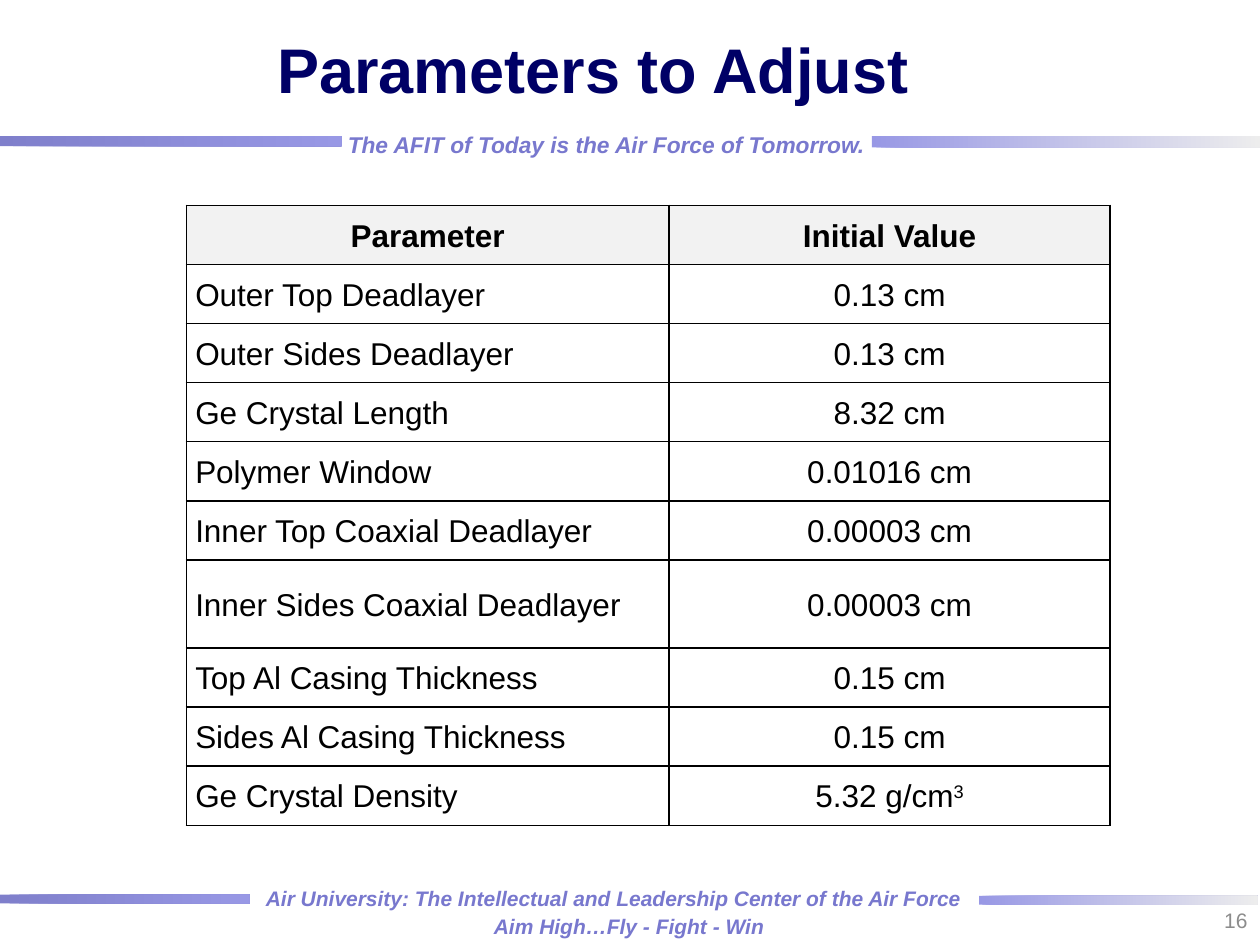
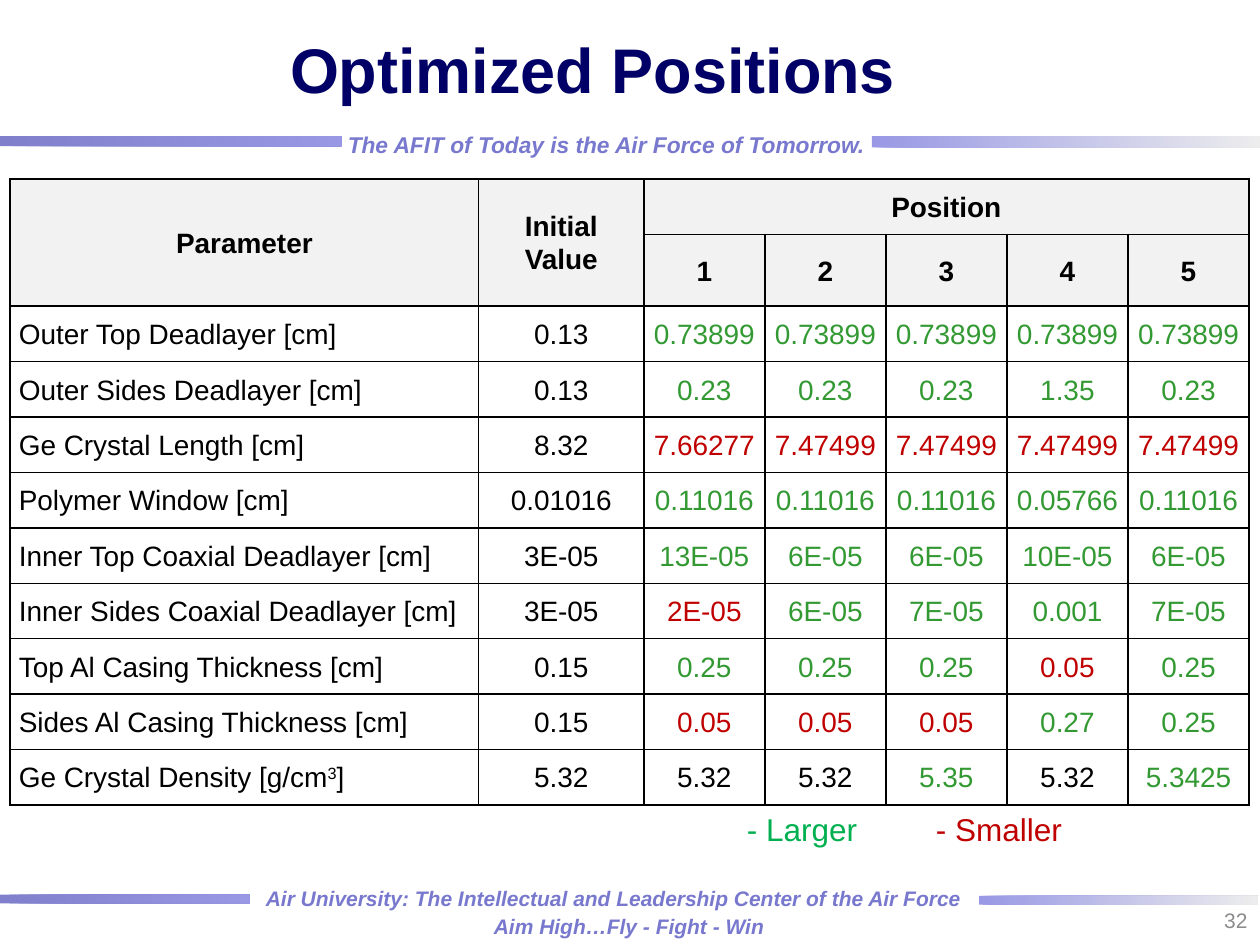
from dataclasses import dataclass

from lxml.etree import SubElement
from pptx import Presentation
from pptx.dml.color import RGBColor as RGB
from pptx.enum.shapes import MSO_SHAPE as SHAPE
from pptx.enum.text import MSO_ANCHOR as ANCHOR, MSO_AUTO_SIZE as FIT, PP_ALIGN as ALIGN
from pptx.oxml.ns import qn
from pptx.util import Inches, Pt


@dataclass(frozen=True)
class Theme:
    """Colours, font and type sizes shared by the slides."""
    font: str = "Arial"
    title: str = "000066"
    motto: str = "7878CE"
    number: str = "8C8C8C"
    text: str = "000000"
    header: str = "F2F2F2"
    body: str = "FFFFFF"
    larger: str = "339933"
    larger_key: str = "00B050"
    smaller: str = "C00000"
    band_dark: str = "000099"
    band_mid: str = "3333CC"
    band_pale: str = "DDDDDD"
    title_size: int = 36
    large_size: int = 18
    table_size: int = 16
    motto_size: int = 13
    small_size: int = 12


T = Theme()
WIDTH, HEIGHT = Inches(10), Inches(7.5)
COLUMNS, ROWS = 100, 75
LINE_SPACING = 1.07

BANDS = [
    ((0, 71, 19.8, 0.7), T.band_dark, T.band_mid),
    ((77.7, 71.1, 22.1, 0.7), T.band_mid, T.band_pale),
    ((69.2, 10.8, 30.8, 0.9), T.band_mid, T.band_pale),
    ((0, 10.8, 27.1, 0.8), T.band_dark, T.band_mid),
]
MOTTOS = [
    ((20.2, 69.8, 57.6, 2.9), T.small_size, 0.05,
     "Air University: The Intellectual and Leadership Center of the Air Force"),
    ((38.3, 72.1, 23.6, 2.9), T.small_size, 0.04, "Aim High…Fly - Fight - Win"),
    ((26.7, 9.9, 43.5, 3.1), T.motto_size, 0.05,
     "The AFIT of Today is the Air Force of Tomorrow."),
]
PARAMETERS = [
    ("Outer Top Deadlayer", "0.13", "cm", "0.73899 0.73899 0.73899 0.73899 0.73899"),
    ("Outer Sides Deadlayer", "0.13", "cm", "0.23 0.23 0.23 1.35 0.23"),
    ("Ge Crystal Length", "8.32", "cm", "7.66277 7.47499 7.47499 7.47499 7.47499"),
    ("Polymer Window", "0.01016", "cm", "0.11016 0.11016 0.11016 0.05766 0.11016"),
    ("Inner Top Coaxial Deadlayer", "0.00003", "cm", "13E-05 6E-05 6E-05 10E-05 6E-05"),
    ("Inner Sides Coaxial Deadlayer", "0.00003", "cm", "2E-05 6E-05 7E-05 0.001 7E-05"),
    ("Top Al Casing Thickness", "0.15", "cm", "0.25 0.25 0.25 0.05 0.25"),
    ("Sides Al Casing Thickness", "0.15", "cm", "0.05 0.05 0.05 0.27 0.25"),
    ("Ge Crystal Density", "5.32", "g/cm^3^", "5.32 5.32 5.35 5.32 5.3425"),
]


def across(columns):
    """Return the length of a number of grid columns."""
    return round(WIDTH * columns / COLUMNS)


def down(rows):
    """Return the length of a number of grid rows."""
    return round(HEIGHT * rows / ROWS)


def place(x, y, w, h):
    """Turn a grid box into slide lengths."""
    return across(x), down(y), across(w), down(h)


def style(font, size, color, bold=False, italic=False):
    """Set the look of a font."""
    font.name, font.size = T.font, Pt(size)
    font.color.rgb = RGB.from_string(color)
    font.bold, font.italic = bold, italic


def add_text(slide, box, text, size, color, bold=False, italic=False,
             align=ALIGN.LEFT, anchor=ANCHOR.TOP, wrap=True, fit=FIT.NONE):
    """Add a one-paragraph text box and return its text frame."""
    tf = slide.shapes.add_textbox(*place(*box)).text_frame
    tf.word_wrap, tf.auto_size, tf.vertical_anchor = wrap, fit, anchor
    p = tf.paragraphs[0]
    p.text, p.alignment = text, align
    style(p.font, size, color, bold, italic)
    return tf


def add_band(slide, box, start, end):
    """Add a half-transparent bar that fades from start to end."""
    sp = slide.shapes.add_shape(SHAPE.RECTANGLE, *place(*box))
    sp.shadow.inherit = False
    sp.line.fill.background()
    sp.fill.gradient()
    sp.fill.gradient_angle = 0
    for stop, color in zip(sp.fill.gradient_stops, (start, end)):
        stop.color.rgb = RGB.from_string(color)
    for color in sp._element.spPr.iter(qn("a:srgbClr")):
        SubElement(color, qn("a:alpha"), val="50000")


def add_motto(slide, box, size, inset, text):
    """Add a motto line in the band colour."""
    tf = add_text(slide, box, text, size, T.motto, True, True, wrap=False,
                  fit=FIT.SHAPE_TO_FIT_TEXT)
    tf.margin_left = tf.margin_right = Inches(0.09)
    tf.margin_top = tf.margin_bottom = Inches(inset)


def add_slide(prs, title, number):
    """Add a slide with bands, mottos, title and slide number."""
    slide = prs.slides.add_slide(prs.slide_layouts[6])
    for band in BANDS:
        add_band(slide, *band)
    for motto in MOTTOS:
        add_motto(slide, *motto)
    add_text(slide, (10.8, 0, 72.5, 10.8), title, T.title_size, T.title, True,
             align=ALIGN.CENTER, anchor=ANCHOR.MIDDLE)
    add_text(slide, (76.7, 71, 23.3, 4), str(number), T.small_size, T.number,
             align=ALIGN.RIGHT, anchor=ANCHOR.MIDDLE)
    return slide


def add_borders(cell):
    """Draw a thin line on each side of a cell."""
    for side in ("lnL", "lnR", "lnT", "lnB"):
        ln = SubElement(cell._tc.get_or_add_tcPr(), qn(f"a:{side}"), w=str(Pt(1)))
        SubElement(SubElement(ln, qn("a:solidFill")), qn("a:srgbClr"), val=T.text)


def fill_cell(cell, text, size, color, header, align):
    """Write a cell, raising the text between carets."""
    add_borders(cell)
    cell.fill.solid()
    cell.fill.fore_color.rgb = RGB.from_string(T.header if header else T.body)
    cell.vertical_anchor = ANCHOR.MIDDLE
    cell.margin_left = cell.margin_right = Inches(0.07)
    cell.margin_top = cell.margin_bottom = 0
    p = cell.text_frame.paragraphs[0]
    p.alignment, p.line_spacing = align, LINE_SPACING
    style(p.font, size, color, header)
    for i, part in enumerate(text.split("^")):
        if part:
            r = p.add_run()
            r.text = part
            if i % 2:
                r.font._element.set("baseline", "30000")


def add_grid(slide, x, y, widths, heights, rows, size, headers=1, color_of=None):
    """Add a ruled table and return it."""
    box = place(x, y, sum(widths), sum(heights))
    table = slide.shapes.add_table(len(heights), len(widths), *box).table
    table.first_row = table.horz_banding = False
    for column, width in zip(table.columns, widths):
        column.width = across(width)
    for row, height in zip(table.rows, heights):
        row.height = down(height)
    for i, row in enumerate(rows):
        header = i < headers
        for j, text in enumerate(row):
            color = color_of(row, j) if color_of and not header else T.text
            align = ALIGN.CENTER if header or j else ALIGN.LEFT
            fill_cell(table.cell(i, j), text, size, color, header, align)
    return table


def change_color(row, j):
    """Pick a colour by comparing a position's value with the initial one."""
    if j < 2 or float(row[j]) == float(row[1]):
        return T.text
    return T.larger if float(row[j]) > float(row[1]) else T.smaller


def add_initial_table(slide):
    """Add the table of initial values."""
    rows = [("Parameter", "Initial Value")]
    rows += [(name, f"{value} {unit}") for name, value, unit, _ in PARAMETERS]
    heights = [7 if row[0].startswith("Inner Sides") else 4.69 for row in rows]
    add_grid(slide, 14.8, 16.3, [38.3, 35], heights, rows, T.large_size)


def add_position_table(slide):
    """Add the table of optimized values by position."""
    rows = [["Parameter", "Initial Value", "Position", "", "", "", ""],
            ["", "", *"12345"]]
    rows += [[f"{name} [{unit}]", f"{float(value):G}", *found.split()]
             for name, value, unit, found in PARAMETERS]
    table = add_grid(slide, 0.8, 14.2, [37.2, 13.1] + [9.61] * 5, [4.4] * len(rows),
                     rows, T.table_size, 2, change_color)
    for first, last in (((0, 0), (1, 0)), ((0, 1), (1, 1)), ((0, 2), (0, 6))):
        table.cell(*first).merge(table.cell(*last))


def add_key(slide):
    """Add the key to the value colours."""
    tf = add_text(slide, (58.3, 63.8, 35, 4), "- Larger\t\t", T.large_size,
                  T.larger_key, fit=FIT.SHAPE_TO_FIT_TEXT)
    r = tf.paragraphs[0].add_run()
    r.text = "- Smaller"
    r.font.color.rgb = RGB.from_string(T.smaller)


def main():
    """Build and save the slides."""
    prs = Presentation()
    prs.slide_width, prs.slide_height = WIDTH, HEIGHT
    add_initial_table(add_slide(prs, "Parameters to Adjust", 16))
    positions = add_slide(prs, "Optimized Positions", 32)
    add_position_table(positions)
    add_key(positions)
    prs.save("out.pptx")


if __name__ == "__main__":
    main()
